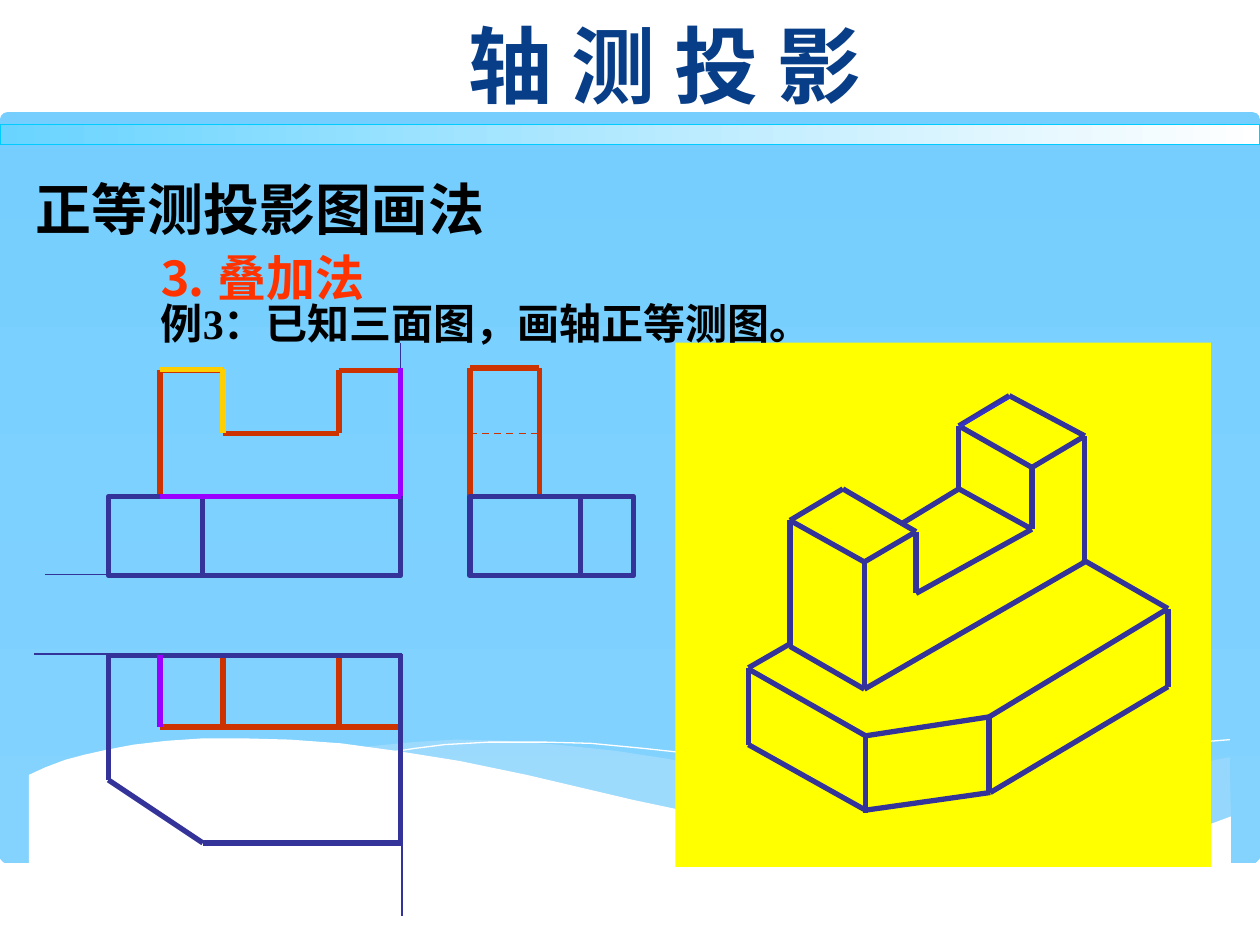
"""Build the slide on stacking solids in axonometric projection."""
from dataclasses import dataclass
from itertools import pairwise

from pptx import Presentation
from pptx.dml.color import RGBColor
from pptx.enum.dml import MSO_LINE
from pptx.enum.shapes import MSO_CONNECTOR, MSO_SHAPE
from pptx.enum.text import MSO_ANCHOR, PP_ALIGN
from pptx.oxml.ns import qn
from pptx.oxml.xmlchemy import OxmlElement
from pptx.util import Inches, Pt

RECT, ROUND = MSO_SHAPE.RECTANGLE, MSO_SHAPE.ROUNDED_RECTANGLE
STRAIGHT, DASH = MSO_CONNECTOR.STRAIGHT, MSO_LINE.DASH
TOP, MIDDLE, BOTTOM = MSO_ANCHOR.TOP, MSO_ANCHOR.MIDDLE, MSO_ANCHOR.BOTTOM
LEFT, CENTER = PP_ALIGN.LEFT, PP_ALIGN.CENTER


@dataclass(frozen=True)
class Theme:
    title: str = "073E87"
    ink: str = "000000"
    accent: str = "FF3300"
    red: str = "CC3300"
    navy: str = "333399"
    blue: str = "3333CC"
    purple: str = "9900FF"
    gold: str = "FFCF01"
    panel: str = "FFFF00"
    white: str = "FFFFFF"
    mist: str = "C6E7FC"
    edge: str = "00CCFF"
    sky: tuple = ("75CEFE", "83D3FE")
    bar: tuple = ("69D4FF", "FFFFFF")
    huge: int = 48
    head: int = 32
    step: int = 28
    body: int = 24
    hair: float = 0.75
    thick: float = 3
    sans: str = "Cabin"
    serif: str = "Times New Roman"
    han: str = "Noto Sans CJK SC"


T = Theme()


@dataclass(frozen=True)
class Wave:
    points: tuple
    fill: str | None = None
    alpha: int = 100


@dataclass(frozen=True)
class Stroke:
    points: tuple
    color: str = T.navy
    width: float = T.thick
    dash: bool = False


@dataclass(frozen=True)
class Box:
    place: tuple
    kind: int = RECT
    fill: str | tuple | None = None
    angle: int = 0
    line: str | None = None
    width: float = T.thick


WAVES = (
    Wave(((9.76, 6.01), (9.5, 6.06), (9.22, 6.11), (8.92, 6.18), (8.62, 6.25),
          (8.06, 6.39), (7.54, 6.5), (7.07, 6.59), (6.62, 6.67), (6.92, 6.71),
          (7.33, 6.76), (7.7, 6.79), (8.15, 6.8), (8.55, 6.78), (8.9, 6.74),
          (9.22, 6.67), (9.51, 6.59), (9.77, 6.49)), T.mist, 29),
    Wave(((8.94, 6.75), (8.67, 6.71), (8.08, 6.62), (7.42, 6.49), (6.69, 6.33),
          (6.14, 6.2), (5.7, 6.1), (5.28, 6.02), (4.89, 5.96), (4.42, 5.91),
          (4, 5.88), (3.62, 5.87), (3.28, 5.89), (2.87, 5.93), (3.23, 5.98),
          (3.63, 6.05), (4.05, 6.13), (4.5, 6.24), (5.3, 6.42), (5.85, 6.54),
          (6.35, 6.63), (6.81, 6.7), (7.23, 6.76), (7.62, 6.79), (8.08, 6.8),
          (8.49, 6.79)), T.mist, 40),
    Wave(((3.1, 5.97), (3.29, 5.94), (3.53, 5.91), (3.88, 5.89), (4.33, 5.89),
          (4.69, 5.9), (5.11, 5.94), (5.57, 5.99), (6.09, 6.06), (6.66, 6.15),
          (7.28, 6.28), (7.96, 6.43), (8.7, 6.62), (9.08, 6.73))),
    Wave(((6.14, 6.59), (6.53, 6.48), (6.96, 6.37), (7.48, 6.25), (8.07, 6.12),
          (8.67, 6), (8.97, 5.96), (9.25, 5.92), (9.52, 5.89), (9.76, 5.87))),
    Wave(((9.77, 6.48), (9.5, 6.58), (9.2, 6.67), (8.87, 6.73), (8.5, 6.77),
          (8.09, 6.79), (7.61, 6.77), (7.08, 6.72), (6.47, 6.64), (5.79, 6.51),
          (5.03, 6.35), (4.18, 6.15), (3.65, 6.04), (3.15, 5.96), (2.71, 5.9),
          (2.3, 5.87), (1.93, 5.86), (1.61, 5.86), (1.32, 5.88), (1.06, 5.91),
          (0.85, 5.95), (0.67, 5.99), (0.52, 6.03), (0.36, 6.09), (0.23, 6.15),
          (0.23, 7.31), (9.77, 7.31)), T.white),
)

UPPER = (
    Stroke(((1.27, 3.94), (1.27, 2.94), (1.77, 2.94), (1.77, 3.44), (2.69, 3.44),
            (2.69, 2.94), (3.18, 2.94), (3.18, 3.94)), T.red),
    Stroke(((1.27, 5.19), (1.27, 5.77), (3.19, 5.77)), T.red),
    *(Stroke(((x, 5.19), (x, 5.77)), T.red) for x in (1.77, 2.69)),
    Stroke(((3.73, 3.94), (3.73, 2.92), (4.28, 2.92), (4.28, 3.94)), T.red),
    Stroke(((3.73, 3.44), (4.28, 3.44)), T.red, 1, True),
)

LOWER = (
    *(Stroke(ends, width=T.hair) for ends in (
        ((3.19, 5.19), (3.19, 7.27)), ((3.18, 4.56), (3.18, 2.72)),
        ((3.2, 4.56), (0.36, 4.56)), ((3.19, 5.19), (0.27, 5.19)))),
    Stroke(((0.86, 5.2), (3.18, 5.2), (3.18, 6.69), (1.61, 6.69),
            (0.86, 6.19), (0.86, 5.2))),
    *(Stroke(((x, 4.57), (x, 3.94))) for x in (1.61, 4.61)),
)

MARKS = (
    Stroke(((1.27, 3.94), (3.18, 3.94), (3.18, 2.92)), T.purple),
    Stroke(((1.27, 5.2), (1.27, 5.77)), T.purple),
    Stroke(((1.27, 2.93), (1.77, 2.93), (1.77, 3.44)), T.gold),
)

SOLID = (
    Stroke(((6.27, 5.13), (6.86, 5.47), (8.61, 4.46), (8.61, 3.46),
            (8.01, 3.14), (7.61, 3.38), (7.61, 3.88), (7.15, 4.16))),
    Stroke(((6.27, 5.13), (6.27, 4.13), (6.86, 4.46), (6.86, 5.46))),
    Stroke(((6.27, 4.13), (6.69, 3.88), (7.27, 4.22), (7.27, 4.71), (8.19, 4.2),
            (8.19, 3.71), (7.61, 3.38))),
    Stroke(((6.86, 4.46), (7.27, 4.22))),
    Stroke(((8.19, 3.71), (8.61, 3.46))),
    Stroke(((7.61, 3.88), (8.19, 4.2))),
    Stroke(((6.27, 5.11), (5.94, 5.3), (5.94, 5.91), (6.87, 6.43), (7.86, 6.29),
            (9.27, 5.45), (9.27, 4.83), (8.59, 4.44))),
    Stroke(((5.94, 5.31), (6.87, 5.84), (7.85, 5.69), (9.27, 4.83))),
    Stroke(((6.87, 5.84), (6.87, 6.45))),
    Stroke(((7.85, 5.69), (7.85, 6.29))),
    Stroke(((7.61, 3.39), (8.02, 3.15)), T.blue, 1.5),
)


def tint(color: str) -> RGBColor:
    """Turn a hex value into a colour."""
    return RGBColor.from_string(color)


def fade(shape, alpha: int) -> None:
    """Set the opacity of a solid fill in percent."""
    for color in shape._element.spPr.iter(qn("a:srgbClr")):
        node = OxmlElement("a:alpha")
        node.set("val", str(alpha * 1000))
        color.append(node)


def paint(shape, fill: str | tuple | None, angle: int = 0,
          line: str | None = None, width: float = T.thick) -> None:
    """Set the fill and outline of a shape and drop its shadow."""
    shape.shadow.inherit = False
    if isinstance(fill, tuple):
        shape.fill.gradient()
        shape.fill.gradient_angle = angle
        for stop, color in zip(shape.fill.gradient_stops, fill):
            stop.color.rgb = tint(color)
    elif fill:
        shape.fill.solid()
        shape.fill.fore_color.rgb = tint(fill)
    else:
        shape.fill.background()
    if line:
        shape.line.color.rgb = tint(line)
        shape.line.width = Pt(width)
    else:
        shape.line.fill.background()


def add_box(slide, box: Box):
    """Draw one preset shape."""
    shape = slide.shapes.add_shape(box.kind, *map(Inches, box.place))
    paint(shape, box.fill, box.angle, box.line, box.width)
    return shape


def add_wave(slide, wave: Wave) -> None:
    """Draw a filled wave, or a white hairline where it has no fill."""
    first, *rest = [tuple(map(Inches, point)) for point in wave.points]
    pen = slide.shapes.build_freeform(*first)
    pen.add_line_segments(rest, close=bool(wave.fill))
    shape = pen.convert_to_shape()
    paint(shape, wave.fill, line=None if wave.fill else T.white, width=0)
    if wave.alpha < 100:
        fade(shape, wave.alpha)


def add_stroke(slide, stroke: Stroke) -> None:
    """Join the points of a stroke with straight lines."""
    for start, end in pairwise(stroke.points):
        edge = slide.shapes.add_connector(STRAIGHT, *map(Inches, start + end))
        edge.line.color.rgb = tint(stroke.color)
        edge.line.width = Pt(stroke.width)
        if stroke.dash:
            edge.line.dash_style = DASH
        edge._element.spPr.append(OxmlElement("a:effectLst"))


def add_text(slide, text: str, place: tuple, *, size: int, color: str, font: str,
             align=CENTER, anchor=TOP, wrap: bool = True, shape=None) -> None:
    """Write bold text in a new box or in the given shape."""
    shape = shape or slide.shapes.add_textbox(*map(Inches, place))
    shape.left, shape.top, shape.width, shape.height = map(Inches, place)
    frame = shape.text_frame
    frame.word_wrap, frame.vertical_anchor = wrap, anchor
    line = frame.paragraphs[0]
    line.alignment = align
    run = line.add_run()
    run.text = text
    run.font.size, run.font.bold, run.font.name = Pt(size), True, font
    run.font.color.rgb = tint(color)
    asian = OxmlElement("a:ea")
    asian.set("typeface", T.han)
    run.font._element.find(qn("a:latin")).addnext(asian)


def main() -> None:
    """Build and save the slide."""
    deck = Presentation()
    deck.slide_width, deck.slide_height = Inches(10), Inches(7.5)
    slide = deck.slides.add_slide(deck.slide_layouts[5])
    sky = add_box(slide, Box((0, 0.89, 10, 5.96), ROUND, T.sky, 270))
    sky.adjustments[0] = 0.01
    for wave in WAVES:
        add_wave(slide, wave)
    add_text(slide, "轴 测 投 影", (3.11, 0.21, 4.33, 0.75), size=T.huge,
             color=T.title, font=T.sans, anchor=BOTTOM, shape=slide.shapes.title)
    add_text(slide, "正等测投影图画法", (0, 1.47, 4.13, 0.5), size=T.head,
             color=T.ink, font=T.han, anchor=BOTTOM)
    for stroke in UPPER + LOWER:
        add_stroke(slide, stroke)
    for left, width in ((0.86, 2.32), (3.73, 1.3)):
        add_box(slide, Box((left, 3.94, width, 0.63), line=T.navy))
    add_text(slide, "⒊ 叠加法", (1.15, 1.91, 1.86, 0.57), size=T.step,
             color=T.accent, font=T.serif, align=LEFT, anchor=MIDDLE, wrap=False)
    add_box(slide, Box((5.36, 2.72, 4.25, 4.16), fill=T.panel))
    for stroke in MARKS + SOLID:
        add_stroke(slide, stroke)
    add_text(slide, "例3：已知三面图，画轴正等测图。", (1.11, 2.31, 5.5, 0.5),
             size=T.body, color=T.ink, font=T.serif)
    add_box(slide, Box((0, 0.99, 10, 0.16), fill=T.bar, line=T.edge, width=T.hair))
    deck.save("out.pptx")


if __name__ == "__main__":
    main()
